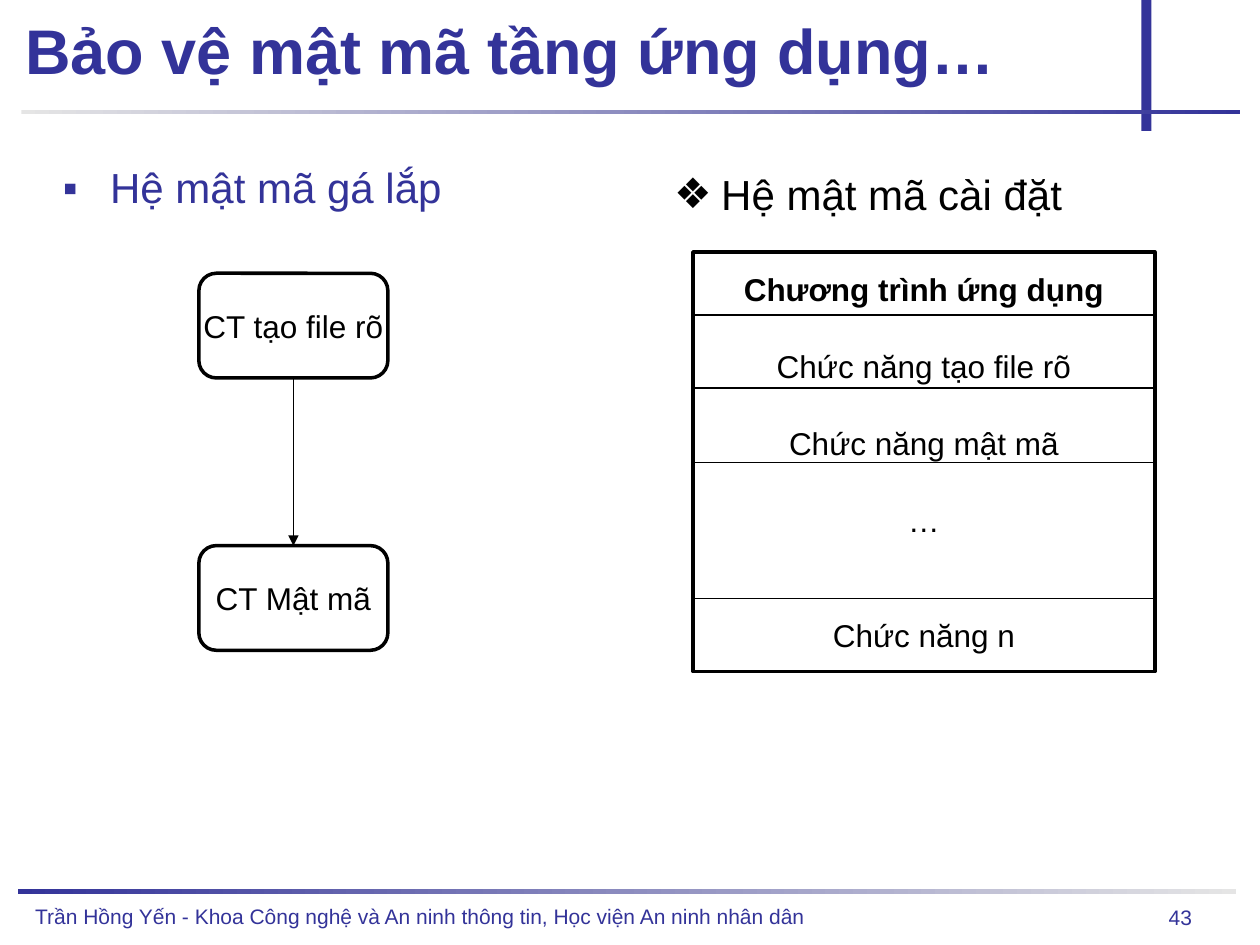
from dataclasses import dataclass

from lxml import etree
from pptx import Presentation
from pptx.dml.color import RGBColor
from pptx.enum.shapes import MSO_CONNECTOR, MSO_SHAPE
from pptx.enum.text import MSO_ANCHOR, PP_ALIGN
from pptx.oxml.ns import qn
from pptx.util import Cm, Pt

LEFT, MID, RIGHT = PP_ALIGN.LEFT, PP_ALIGN.CENTER, PP_ALIGN.RIGHT
TOP, CENTER = MSO_ANCHOR.TOP, MSO_ANCHOR.MIDDLE
RECT, ROUND = MSO_SHAPE.RECTANGLE, MSO_SHAPE.FLOWCHART_ALTERNATE_PROCESS
PANEL = MSO_SHAPE.FLOWCHART_PROCESS
LINE = MSO_CONNECTOR.STRAIGHT


@dataclass(frozen=True)
class Theme:
    font: str = "Arial"
    blue: RGBColor = RGBColor(0x33, 0x33, 0x99)
    gray: RGBColor = RGBColor(0xE5, 0xE5, 0xE5)
    black: RGBColor = RGBColor(0, 0, 0)
    title: Pt = Pt(36)
    head: Pt = Pt(24)
    body: Pt = Pt(18)
    foot: Pt = Pt(12)
    thick: Pt = Pt(2)
    thin: Pt = Pt(0.75)


theme = Theme()


def write(shape, lines, size, color, align=LEFT, anchor=TOP, wrap=True, bold=False):
    frame = shape.text_frame
    frame.text = "\n".join(lines)
    frame.word_wrap = wrap
    frame.vertical_anchor = anchor
    for para in frame.paragraphs:
        para.alignment = align
        for run in para.runs:
            run.font.name = theme.font
            run.font.size = size
            run.font.bold = bold
            run.font.color.rgb = color
    return frame


def link(x1, y1, x2, y2):
    line = slide.shapes.add_connector(LINE, Cm(x1), Cm(y1), Cm(x2), Cm(y2))
    line.line.color.rgb = theme.black
    line.line.width = theme.thin
    etree.SubElement(line._element.spPr, qn("a:effectLst"))
    return line


deck = Presentation()
deck.slide_width, deck.slide_height = Cm(25.4), Cm(19.05)
slide = deck.slides.add_slide(deck.slide_layouts[6])
shapes = slide.shapes

bars = [
    (0.36, 17.93, 24.56, 0.1, (theme.blue, theme.gray)),
    (23.01, 0, 0.2, 2.64, None),
    (0.43, 2.21, 24.56, 0.1, (theme.gray, theme.blue)),
]
for x, y, w, h, fade in bars:
    bar = shapes.add_shape(RECT, Cm(x), Cm(y), Cm(w), Cm(h))
    bar.shadow.inherit = False
    bar.line.fill.background()
    if fade:
        bar.fill.gradient()
        bar.fill.gradient_angle = 0
        for stop, color in zip(bar.fill.gradient_stops, fade):
            stop.color.rgb = color
    else:
        bar.fill.solid()
        bar.fill.fore_color.rgb = theme.blue

foots = [
    (0.46, 18.14, 18.59, LEFT,
     "Trần Hồng Yến - Khoa Công nghệ và An ninh thông tin, Học viện An ninh nhân dân"),
    (11.71, 18.16, 12.57, RIGHT, "43"),
]
for x, y, w, align, text in foots:
    foot = shapes.add_textbox(Cm(x), Cm(y), Cm(w), Cm(0.74))
    frame = write(foot, [text], theme.foot, theme.blue, align)
    frame.paragraphs[0].line_spacing = 0.94

title = shapes.add_textbox(Cm(0.51), Cm(0.33), Cm(24.26), Cm(1.6))
frame = write(title, ["Bảo vệ mật mã tầng ứng dụng…"], theme.title, theme.blue,
              anchor=CENTER, bold=True)
frame.margin_left = frame.margin_right = frame.margin_top = frame.margin_bottom = 0
frame.paragraphs[0].line_spacing = 0.82

heads = [
    (1.27, 11.63, 0, 0, "▪", theme.blue, "Hệ mật mã gá lắp"),
    (13.34, 11.43, 0.25, 0.13, "❖", theme.black, "Hệ mật mã cài đặt"),
]
for x, w, side, edge, mark, color, text in heads:
    head = shapes.add_textbox(Cm(x), Cm(3.38), Cm(w), Cm(15.04))
    frame = write(head, [text], theme.head, color)
    frame.margin_left = frame.margin_right = Cm(side)
    frame.margin_top = frame.margin_bottom = Cm(edge)
    para = frame.paragraphs[0]
    props = para._p.get_or_add_pPr()
    props.set("marL", str(Cm(0.95)))
    props.set("indent", str(-Cm(0.95)))
    tint = etree.SubElement(props, qn("a:buClr"))
    etree.SubElement(tint, qn("a:srgbClr"), val=str(color))
    etree.SubElement(props, qn("a:buFont"), typeface=theme.font)
    etree.SubElement(props, qn("a:buChar"), char=mark)
    para.line_spacing = 0.9

boxes = [
    (ROUND, 4.01, 5.51, 3.81, 2.11, ["CT tạo file rõ"]),
    (ROUND, 4.01, 11, 3.81, 2.11, ["CT Mật mã"]),
    (PANEL, 13.97, 5.08, 9.31, 8.46,
     ["Chương trình ứng dụng", "Chức năng tạo file rõ", "Chức năng mật mã", "…",
      "Chức năng n"]),
]
made = []
for kind, x, y, w, h, lines in boxes:
    box = shapes.add_shape(kind, Cm(x), Cm(y), Cm(w), Cm(h))
    box.shadow.inherit = False
    box.fill.background()
    box.line.color.rgb = theme.black
    box.line.width = theme.thick
    write(box, lines, theme.body, theme.black, MID, CENTER, wrap=False)
    made.append(box)

plain, cipher, panel = made
paras = panel.text_frame.paragraphs
paras[0].runs[0].font.bold = True
for para, gap in zip(paras[1:], (22.4, 22.4, 22.4, 43.9)):
    para.space_before = Pt(gap)

arrow = link(5.92, 7.62, 5.92, 11)
arrow.begin_connect(plain, 2)
arrow.end_connect(cipher, 0)
etree.SubElement(arrow.line._get_or_add_ln(), qn("a:tailEnd"), type="triangle")

for y in (6.35, 7.82, 9.32, 12.07):
    link(13.97, y, 23.28, y)

deck.save("out.pptx")
